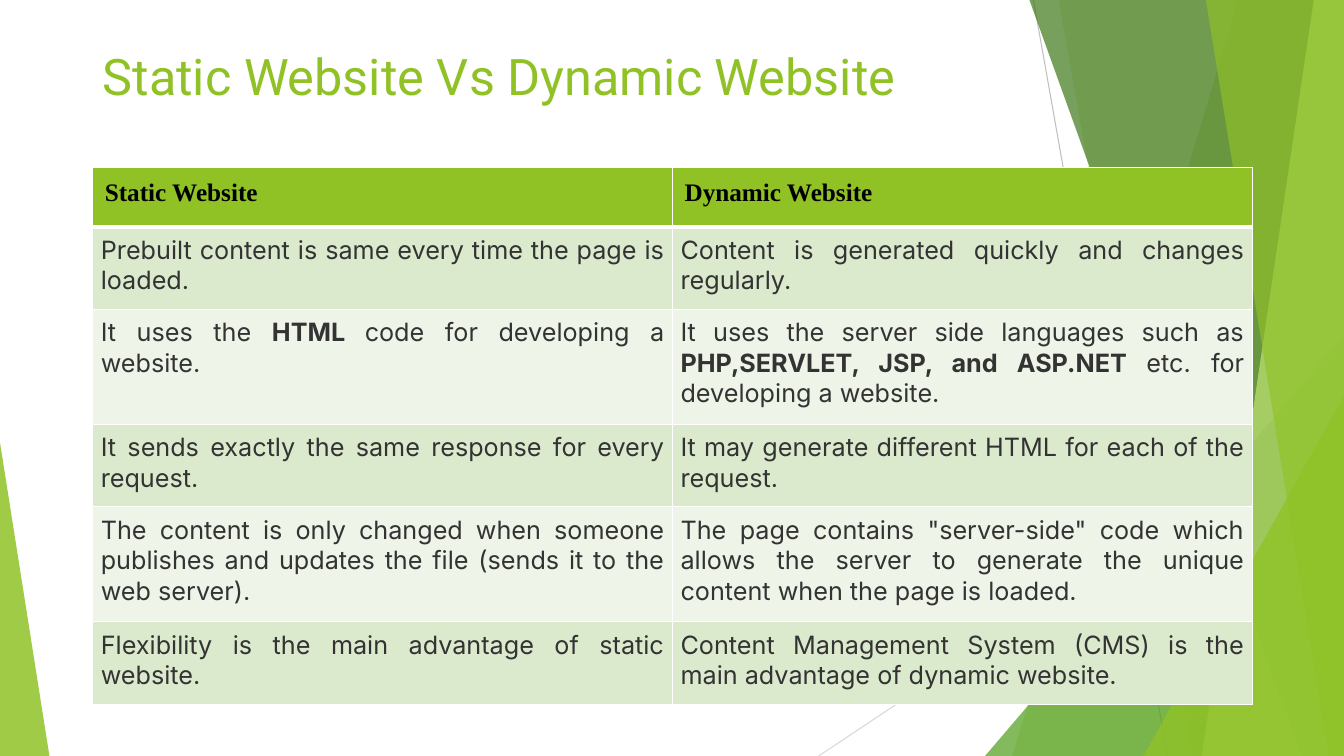
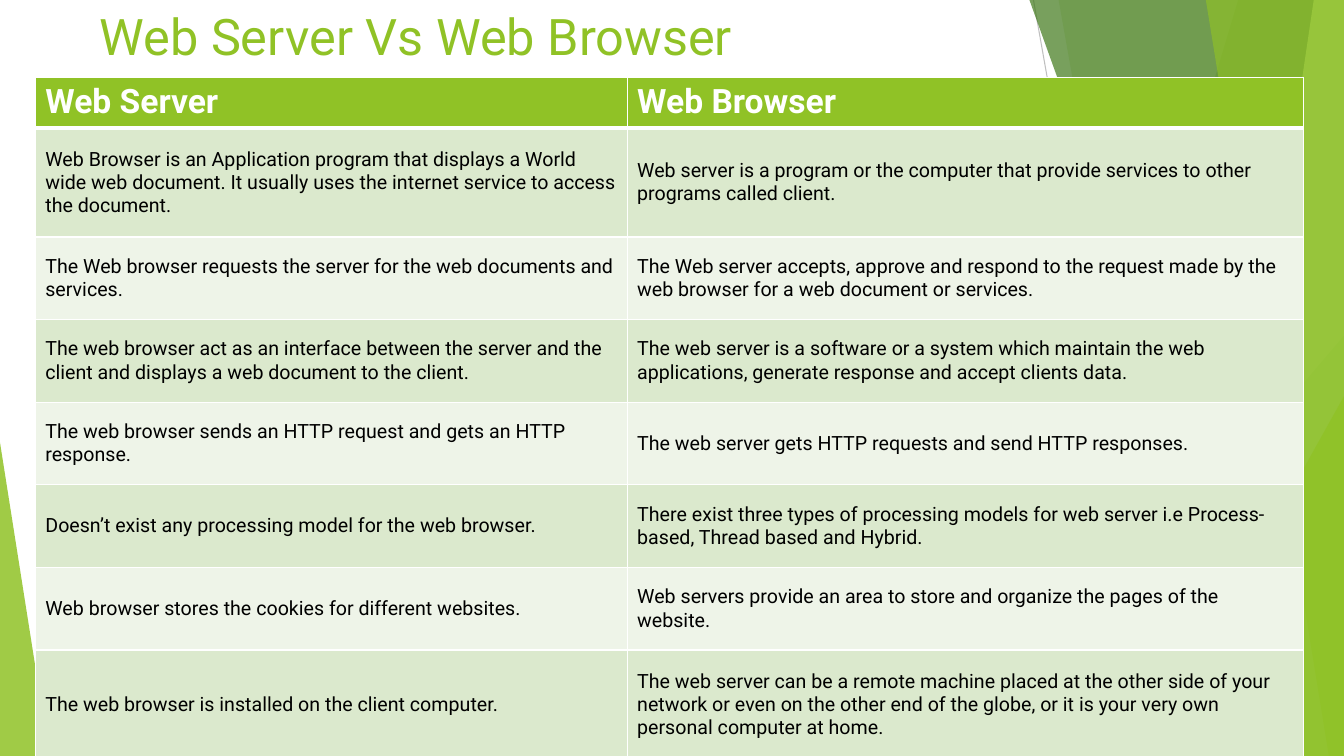
from dataclasses import dataclass
from typing import Any, NamedTuple

import lxml.etree
import pptx
import pptx.dml.color
import pptx.enum.shapes
import pptx.enum.text
import pptx.oxml.ns
import pptx.util

Inches = pptx.util.Inches
RGBColor = pptx.dml.color.RGBColor
ALIGN = pptx.enum.text.PP_ALIGN
ANCHOR = pptx.enum.text.MSO_ANCHOR
qn = pptx.oxml.ns.qn

LIME = RGBColor(0x90, 0xC2, 0x26)
GREEN = RGBColor(0x54, 0xA0, 0x21)
FOREST = RGBColor(0x3F, 0x78, 0x19)
PALE_LIME = RGBColor(0xC0, 0xE4, 0x74)
BAND_DARK = RGBColor(0xDB, 0xE9, 0xCD)
BAND_LIGHT = RGBColor(0xEE, 0xF4, 0xE8)
GREY = RGBColor(0xBF, 0xBF, 0xBF)
LIGHT_GREY = RGBColor(0xD9, 0xD9, 0xD9)
CHARCOAL = RGBColor(0x33, 0x33, 0x33)
BLACK = RGBColor(0, 0, 0)
WHITE = RGBColor(0xFF, 0xFF, 0xFF)

WIDTH, HEIGHT = 13.33, 7.5


class Ray(NamedTuple):
    start: tuple[float, float]
    end: tuple[float, float]
    color: RGBColor


class Facet(NamedTuple):
    """Band from its top-left and bottom-left x to the right slide edge."""
    top_x: float
    bottom_x: float
    color: RGBColor
    opacity: int


class Wedge(NamedTuple):
    """Triangle standing on the bottom edge; apex is 0 (left) or 1 (right)."""
    left: float
    top: float
    width: float
    apex: int
    color: RGBColor
    opacity: int


RAYS = (
    Ray((10.25, 0), (11.58, HEIGHT), GREY),
    Ray((WIDTH, 4.03), (8.12, HEIGHT), LIGHT_GREY),
)
PANELS = (
    Facet(12.28, 10.04, LIME, 30),
    Facet(10.5, 11.83, LIME, 20),
    Wedge(9.77, 3.33, 3.56, 1, GREEN, 72),
    Facet(10.21, 12.91, FOREST, 70),
    Facet(13.03, 11.92, PALE_LIME, 70),
    Facet(11.96, 13.18, LIME, 65),
    Wedge(11.34, 3.93, 1.99, 1, LIME, 80),
    Wedge(0, 4.39, 0.49, 0, LIME, 85),
)


@dataclass(frozen=True)
class CellStyle:
    font: str
    size: int
    color: RGBColor
    bold: bool = False
    align: Any = ALIGN.LEFT
    anchor: Any = ANCHOR.TOP
    inset_x: float = 0.1
    inset_y: float = 0.05


@dataclass(frozen=True)
class Comparison:
    title: str
    title_at: tuple[float, float]
    title_height: float
    table_at: tuple[float, float]
    columns: tuple[float, ...]
    row_heights: tuple[float, ...]
    header: CellStyle
    body: CellStyle
    rows: tuple[tuple[str, str], ...]


WEBSITES = Comparison(
    title="Static Website Vs Dynamic Website",
    title_at=(0.92, 0.4),
    title_height=1.11,
    table_at=(0.92, 1.66),
    columns=(5.75, 5.75),
    row_heights=(0.59, 0.82, 1.14, 0.82, 1.14, 0.82),
    header=CellStyle("Times New Roman", 18, BLACK, bold=True, inset_x=0.12, inset_y=0.12),
    body=CellStyle("Inter", 18, CHARCOAL, align=ALIGN.JUSTIFY, inset_x=0.08, inset_y=0.08),
    rows=(
        ("Static Website", "Dynamic Website"),
        ("Prebuilt content is same every time the page is loaded.",
         "Content is generated quickly and changes regularly."),
        ("It uses the **HTML **code for developing a website.",
         "It uses the server side languages such as **PHP,SERVLET, JSP, and ASP.NET **"
         "etc. for developing a website."),
        ("It sends exactly the same response for every request.",
         "It may generate different HTML for each of the request."),
        ("The content is only changed when someone publishes and updates the file "
         "(sends it to the web server).",
         'The page contains "server-side" code which allows the server to generate '
         "the unique content when the page is loaded."),
        ("Flexibility is the main advantage of static website.",
         "Content Management System (CMS) is the main advantage of dynamic website."),
    ),
)

SERVER_BROWSER = Comparison(
    title="Web Server Vs Web Browser",
    title_at=(0.89, 0),
    title_height=0.77,
    table_at=(0.35, 0.77),
    columns=(5.87, 6.71),
    row_heights=(0.49, 1.08, 0.82, 0.82, 0.82, 0.82, 0.82, 1.08),
    header=CellStyle("Roboto", 24, WHITE, bold=True),
    body=CellStyle("Roboto", 14, BLACK, anchor=ANCHOR.MIDDLE, inset_y=0.15),
    rows=(
        ("Web Server", "Web Browser"),
        ("Web Browser is an Application program that displays a World wide web document. "
         "It usually uses the internet service to access the document.",
         "Web server is a program or the computer that provide services to other "
         "programs called client."),
        ("The Web browser requests the server for the web documents and services.",
         "The Web server accepts, approve and respond to the request made by the web "
         "browser for a web document or services."),
        ("The web browser act as an interface between the server and the client and "
         "displays a web document to the client.",
         "The web server is a software or a system which maintain the web applications, "
         "generate response and accept clients data."),
        ("The web browser sends an HTTP request and gets an HTTP response.",
         "The web server gets HTTP requests and send HTTP responses."),
        ("Doesn’t exist any processing model for the web browser.",
         "There exist three types of processing models for web server i.e Process-based, "
         "Thread based and Hybrid."),
        ("Web browser stores the cookies for different websites.",
         "Web servers provide an area to store and organize the pages of the website."),
        ("The web browser is installed on the client computer.",
         "The web server can be a remote machine placed at the other side of your network "
         "or even on the other end of the globe, or it is your very own personal computer "
         "at home."),
    ),
)


def put_text(tf: Any, text: str, *, font: str, size: int, color: RGBColor,
             bold: bool = False, align: Any = ALIGN.LEFT) -> None:
    """Write one paragraph; parts between ** marks are bold."""
    tf.word_wrap = True
    p = tf.paragraphs[0]
    p.alignment = align
    for i, part in enumerate(text.split("**")):
        r = p.add_run()
        r.text = part
        r.font.name = font
        r.font.size = pptx.util.Pt(size)
        r.font.color.rgb = color
        r.font.bold = bold or i % 2 == 1


def draw_ray(s: Any, ray: Ray) -> None:
    line = s.shapes.add_connector(
        pptx.enum.shapes.MSO_CONNECTOR.STRAIGHT,
        *(Inches(v) for v in (*ray.start, *ray.end)))
    line.line.color.rgb = ray.color
    line.line.width = pptx.util.Pt(0.75)
    lxml.etree.SubElement(line._element.spPr, qn("a:effectLst"))


def draw_panel(s: Any, panel: Facet | Wedge) -> None:
    if isinstance(panel, Facet):
        corners = ((panel.top_x, 0), (WIDTH, 0), (WIDTH, HEIGHT), (panel.bottom_x, HEIGHT))
        points = [(Inches(x), Inches(y)) for x, y in corners]
        builder = s.shapes.build_freeform(*points[0])
        builder.add_line_segments(points[1:], close=True)
        sp = builder.convert_to_shape()
    else:
        sp = s.shapes.add_shape(
            pptx.enum.shapes.MSO_SHAPE.ISOSCELES_TRIANGLE,
            Inches(panel.left), Inches(panel.top),
            Inches(panel.width), Inches(HEIGHT - panel.top))
        sp.adjustments[0] = panel.apex
    sp.shadow.inherit = False
    sp.line.fill.background()
    sp.fill.solid()
    sp.fill.fore_color.rgb = panel.color
    color = sp._element.spPr.find(f"{qn('a:solidFill')}/{qn('a:srgbClr')}")
    lxml.etree.SubElement(color, qn("a:alpha"), val=str(panel.opacity * 1000))


def draw_backdrop(s: Any) -> None:
    for ray in RAYS:
        draw_ray(s, ray)
    for panel in PANELS:
        draw_panel(s, panel)


def draw_title(s: Any, comparison: Comparison) -> None:
    left, top = comparison.title_at
    box = s.shapes.add_textbox(Inches(left), Inches(top),
                               Inches(11.5), Inches(comparison.title_height))
    put_text(box.text_frame, comparison.title, font="Roboto", size=36, color=LIME)


def set_borders(cell: Any, top: int, bottom: int) -> None:
    """Give a cell white borders, widths in points; the sides are 1 pt."""
    tc_pr = cell._tc.get_or_add_tcPr()
    widths = {"lnL": 1, "lnR": 1, "lnT": top, "lnB": bottom}
    for i, (tag, width) in enumerate(widths.items()):
        ln = lxml.etree.Element(qn(f"a:{tag}"), w=str(pptx.util.Pt(width)))
        fill = lxml.etree.SubElement(ln, qn("a:solidFill"))
        lxml.etree.SubElement(fill, qn("a:srgbClr"), val=str(WHITE))
        tc_pr.insert(i, ln)


def fill_cell(cell: Any, text: str, style: CellStyle, fill: RGBColor) -> None:
    cell.margin_left = cell.margin_right = Inches(style.inset_x)
    cell.margin_top = cell.margin_bottom = Inches(style.inset_y)
    cell.vertical_anchor = style.anchor
    cell.fill.solid()
    cell.fill.fore_color.rgb = fill
    put_text(cell.text_frame, text, font=style.font, size=style.size,
             color=style.color, bold=style.bold, align=style.align)


def draw_table(s: Any, comparison: Comparison) -> None:
    left, top = comparison.table_at
    table = s.shapes.add_table(
        len(comparison.rows), len(comparison.columns), Inches(left), Inches(top),
        Inches(sum(comparison.columns)), Inches(sum(comparison.row_heights))).table
    table.horz_banding = False
    for column, width in zip(table.columns, comparison.columns):
        column.width = Inches(width)
    for i, (height, texts) in enumerate(zip(comparison.row_heights, comparison.rows)):
        table.rows[i].height = Inches(height)
        style = comparison.body if i else comparison.header
        fill = (BAND_LIGHT, BAND_DARK)[i % 2] if i else LIME
        for j, text in enumerate(texts):
            cell = table.cell(i, j)
            fill_cell(cell, text, style, fill)
            set_borders(cell, top=3 if i == 1 else 1, bottom=3 if i == 0 else 1)


def main() -> None:
    prs = pptx.Presentation()
    prs.slide_width, prs.slide_height = Inches(WIDTH), Inches(HEIGHT)
    for comparison in (WEBSITES, SERVER_BROWSER):
        s = prs.slides.add_slide(prs.slide_layouts[6])
        draw_backdrop(s)
        draw_title(s, comparison)
        draw_table(s, comparison)
    prs.save("out.pptx")


if __name__ == "__main__":
    main()
